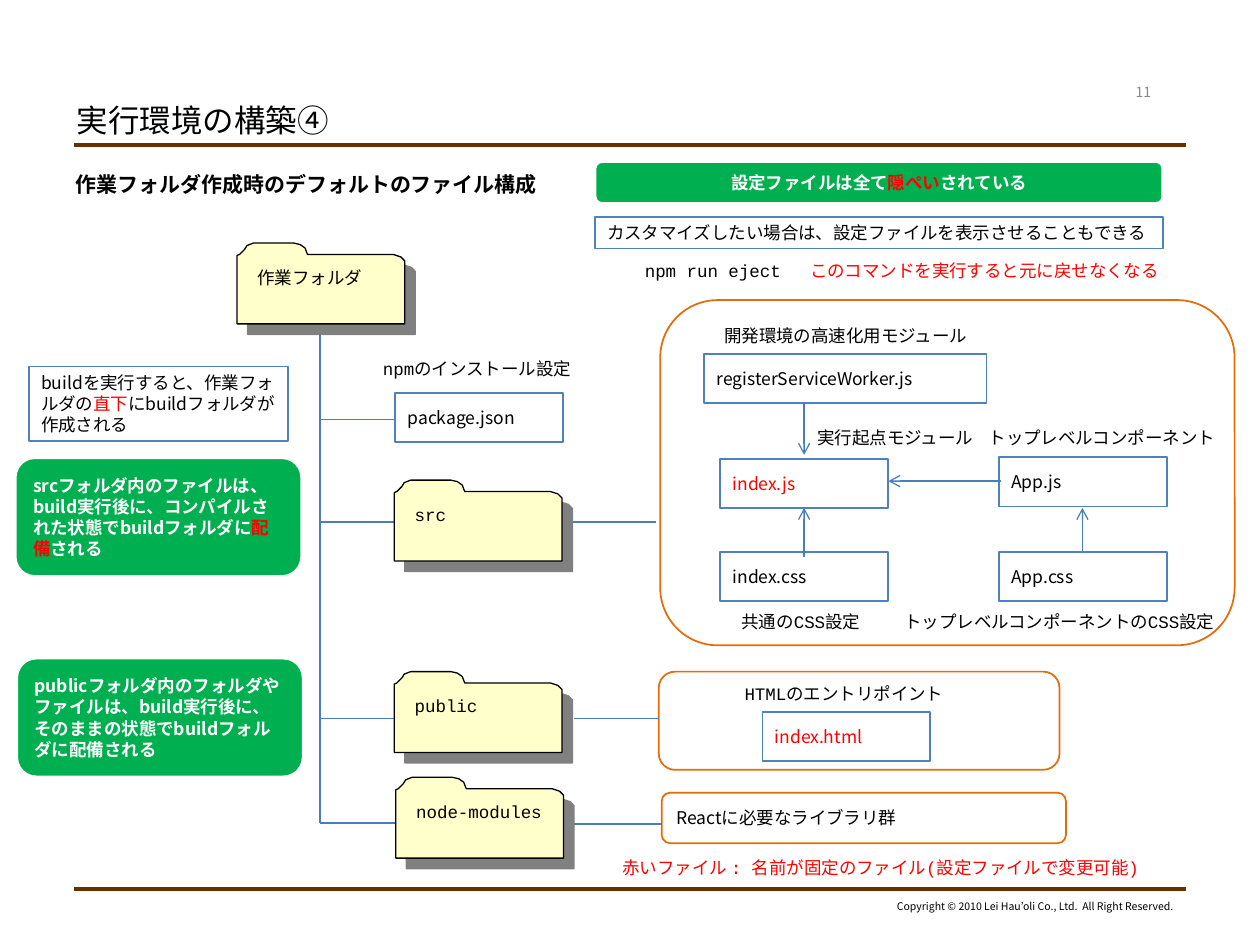
from lxml.etree import SubElement
from pptx import Presentation
from pptx.dml.color import RGBColor
from pptx.enum.shapes import MSO_CONNECTOR, MSO_SHAPE
from pptx.enum.text import MSO_ANCHOR, MSO_AUTO_SIZE, PP_ALIGN
from pptx.oxml import parse_xml
from pptx.oxml.ns import nsdecls, qn
from pptx.util import Cm, Pt

BLACK = RGBColor(0x00, 0x00, 0x00)
WHITE = RGBColor(0xFF, 0xFF, 0xFF)
RED = RGBColor(0xFF, 0x00, 0x00)
GRAY = RGBColor(0x89, 0x89, 0x89)
BROWN = RGBColor(0x66, 0x33, 0x00)
BLUE = RGBColor(0x4F, 0x81, 0xBD)
LINK = RGBColor(0x4A, 0x7E, 0xBB)
ORANGE = RGBColor(0xE4, 0x6C, 0x0A)
GREEN = RGBColor(0x00, 0xB0, 0x50)
CREAM = RGBColor(0xFF, 0xFF, 0xCC)

SANS = "Noto Sans CJK JP"
MONO = "Courier New"
BODY = {"name": SANS, "size": Pt(10), "bold": False}
STRONG = {**BODY, "bold": True}
CODE = {**BODY, "name": MONO}

FILE_W, FILE_H = 3.38, 0.99
LABEL_H = 0.69
TRUNK_X, BRANCH_X = 6.45, 7.97
FOLDER = [
    (3.1, 0.23), (1.42, 0.23), (1.4, 0.18), (1.37, 0.1), (1.27, 0.03),
    (1.14, 0), (0.33, 0), (0.2, 0.05), (0.15, 0.13), (0.1, 0.18),
    (0.05, 0.23), (0, 0.25), (0, 1.63), (3.38, 1.63), (3.38, 0.36),
    (3.3, 0.28), (3.15, 0.23),
]
FOLDER_SHADOW = (
    f'<a:effectLst {nsdecls("a")}><a:outerShdw blurRad="0" dist="107950" '
    'dir="2700000" algn="ctr" rotWithShape="0"><a:srgbClr val="808080"/>'
    '</a:outerShdw></a:effectLst>'
)


def write(sp, runs, fmt, align=PP_ALIGN.LEFT, **frame):
    """Fill a shape with one paragraph of (text, colour) runs."""
    tf = sp.text_frame
    for key, value in {"word_wrap": True, **frame}.items():
        setattr(tf, key, value)
    p = tf.paragraphs[0]
    p.alignment = align
    for text, color in runs:
        r = p.add_run()
        r.text = text
        for key, value in fmt.items():
            setattr(r.font, key, value)
        r.font.color.rgb = color
        SubElement(r.font._element, qn("a:ea"), typeface=SANS)


def add_text(s, box, text, fmt, color=BLACK, **options):
    """Add a text box."""
    sp = s.shapes.add_textbox(*map(Cm, box))
    write(sp, [(text, color)], fmt, **options)


def add_label(s, x, y, w, text, color=BLACK):
    """Add a one-line caption sized to its text."""
    add_text(s, (x, y, w, LABEL_H), text, CODE, color,
             word_wrap=False, auto_size=MSO_AUTO_SIZE.SHAPE_TO_FIT_TEXT)


def add_box(s, kind, box, line, runs=(), fmt=BODY, fill=None, width=1,
            align=PP_ALIGN.LEFT):
    """Add an outlined shape with vertically centred text."""
    sp = s.shapes.add_shape(kind, *map(Cm, box))
    sp.shadow.inherit = False
    if fill is None:
        sp.fill.background()
    else:
        sp.fill.solid()
        sp.fill.fore_color.rgb = fill
    sp.line.color.rgb = line
    sp.line.width = Pt(width)
    write(sp, runs, fmt, align, vertical_anchor=MSO_ANCHOR.MIDDLE)


def add_file(s, x, y, name, color=BLACK, w=FILE_W):
    """Add a file box."""
    add_box(s, MSO_SHAPE.RECTANGLE, (x, y, w, FILE_H), BLUE, [(name, color)])


def add_callout(s, box, runs, align=PP_ALIGN.LEFT):
    """Add a green rounded callout."""
    add_box(s, MSO_SHAPE.ROUNDED_RECTANGLE, box, WHITE, runs, STRONG, GREEN, 2,
            align)


def add_folder(s, x, y, name):
    """Add a folder outline with a hard shadow."""
    points = [(Cm(x + dx), Cm(y + dy)) for dx, dy in FOLDER]
    builder = s.shapes.build_freeform(*points[0])
    builder.add_line_segments(points[1:], close=True)
    sp = builder.convert_to_shape()
    sp.fill.solid()
    sp.fill.fore_color.rgb = CREAM
    sp.line.color.rgb = BLACK
    sp.line.width = Pt(0.75)
    sp._element.spPr.append(parse_xml(FOLDER_SHADOW))
    write(sp, [(name, BLACK)], CODE, margin_left=Cm(0.41),
          margin_top=Cm(0.48), margin_right=0, vertical_anchor=MSO_ANCHOR.TOP)


def add_line(s, ends, color=LINK, width=0.75, arrow=False):
    """Add a straight line, optionally with an open arrowhead."""
    c = s.shapes.add_connector(MSO_CONNECTOR.STRAIGHT, *map(Cm, ends))
    c.line.color.rgb = color
    c.line.width = Pt(width)
    if arrow:
        SubElement(c.line._get_or_add_ln(), qn("a:tailEnd"), type="arrow")
    SubElement(c._element.spPr, qn("a:effectLst"))


def add_frame(s):
    """Add the title, rules, page number and footer."""
    for y in (2.92, 17.93):
        add_line(s, (1.5, y, 23.9, y), BROWN, 2.25)
    add_text(s, (17.75, 18.01, 6.15, 0.51),
             "Copyright © 2010 Lei Hau’oli Co., Ltd.  All Right Reserved.",
             {**BODY, "size": Pt(6)}, align=PP_ALIGN.RIGHT, word_wrap=False)
    add_text(s, (1.3, 1.93, 14.43, 0.99), "実行環境の構築④",
             {**BODY, "size": Pt(18)}, vertical_anchor=MSO_ANCHOR.MIDDLE)
    add_text(s, (1.27, 3.33, 22.86, 14.2),
             "作業フォルダ作成時のデフォルトのファイル構成",
             {**STRONG, "size": Pt(12)})
    add_text(s, (22.3, 1.55, 1.5, 0.61), "11", {**BODY, "size": Pt(8)}, GRAY,
             align=PP_ALIGN.CENTER, vertical_anchor=MSO_ANCHOR.MIDDLE)


def add_tree(s):
    """Add the folder tree with its files and links."""
    for box, text in [
        ((13.31, 6.05, 11.58, 6.96), ""),
        ((13.28, 13.54, 8.08, 1.98), ""),
        ((13.34, 15.98, 8.15, 1.02), "Reactに必要なライブラリ群"),
    ]:
        add_box(s, MSO_SHAPE.ROUNDED_RECTANGLE, box, ORANGE,
                [(text, BLACK)] if text else [])
    add_line(s, (TRUNK_X, 6.73, TRUNK_X, 16.59))
    for y in (8.46, 10.52, 14.48, 16.59):
        add_line(s, (TRUNK_X, y, BRANCH_X, y))
    for x1, x2, y in [(11.53, 13.23, 10.52), (11.58, 13.28, 14.48),
                      (11.53, 13.34, 16.61)]:
        add_line(s, (x1, y, x2, y))
    for folder in [(4.78, 4.9, "作業フォルダ"), (7.95, 9.68, "src"),
                   (7.95, 13.54, "public"), (7.98, 15.67, "node-modules")]:
        add_folder(s, *folder)
    add_file(s, 14.2, 7.14, "registerServiceWorker.js", w=5.69)
    for file in [
        (7.97, 7.92, "package.json"), (15.37, 14.35, "index.html", RED),
        (14.52, 9.25, "index.js", RED), (20.14, 9.22, "App.js"),
        (14.52, 11.13, "index.css"), (20.14, 11.13, "App.css"),
    ]:
        add_file(s, *file)
    for ends in [(16.21, 11.23, 16.21, 10.24), (16.21, 8.13, 16.21, 9.17),
                 (21.82, 11.13, 21.82, 10.24), (20.17, 9.7, 17.91, 9.7)]:
        add_line(s, ends, arrow=True)


def add_notes(s):
    """Add the captions, remarks and callouts."""
    for label in [
        (14.35, 6.43, 5.45, "開発環境の高速化用モジュール"),
        (16.23, 8.48, 3.7, "実行起点モジュール"),
        (14.7, 12.19, 3.15, "共通のCSS設定"),
        (19.68, 8.48, 5.12, "トップレベルコンポーネント"),
        (17.98, 12.19, 7, "トップレベルコンポーネントのCSS設定"),
        (7.47, 7.09, 4.47, "npmのインストール設定"),
        (14.76, 13.64, 4.65, "HTMLのエントリポイント"),
        (12.75, 5.11, 3.3, "npm run eject"),
        (16.08, 5.11, 7.62, "このコマンドを実行すると元に戻せなくなる", RED),
        (12.3, 17.15, 11.4,
         "赤いファイル : 名前が固定のファイル(設定ファイルで変更可能)", RED),
    ]:
        add_label(s, *label)
    add_callout(s, (11.99, 3.25, 11.46, 0.86),
                [("設定ファイルは全て", WHITE), ("隠ぺい", RED),
                 ("されている", WHITE)], PP_ALIGN.CENTER)
    add_callout(s, (0.3, 9.22, 5.79, 2.41),
                [("srcフォルダ内のファイルは、build実行後に、"
                  "コンパイルされた状態でbuildフォルダに", WHITE),
                 ("配備", RED), ("される", WHITE)])
    add_callout(s, (0.33, 13.26, 5.79, 2.41),
                [("publicフォルダ内のフォルダやファイルは、build実行後に、"
                  "そのままの状態でbuildフォルダに配備される", WHITE)])
    add_box(s, MSO_SHAPE.RECTANGLE, (11.99, 4.37, 11.46, 0.64), BLUE,
            [("カスタマイズしたい場合は、設定ファイルを表示させることもできる",
              BLACK)])
    add_box(s, MSO_SHAPE.RECTANGLE, (0.58, 7.39, 5.23, 1.5), BLUE,
            [("buildを実行すると、作業フォルダの", BLACK), ("直下", RED),
             ("にbuildフォルダが作成される", BLACK)])


def main():
    """Build the slide and save it."""
    prs = Presentation()
    prs.slide_width, prs.slide_height = Cm(25.4), Cm(19.05)
    s = prs.slides.add_slide(prs.slide_layouts[6])
    add_frame(s)
    add_tree(s)
    add_notes(s)
    prs.save("out.pptx")


if __name__ == "__main__":
    main()
